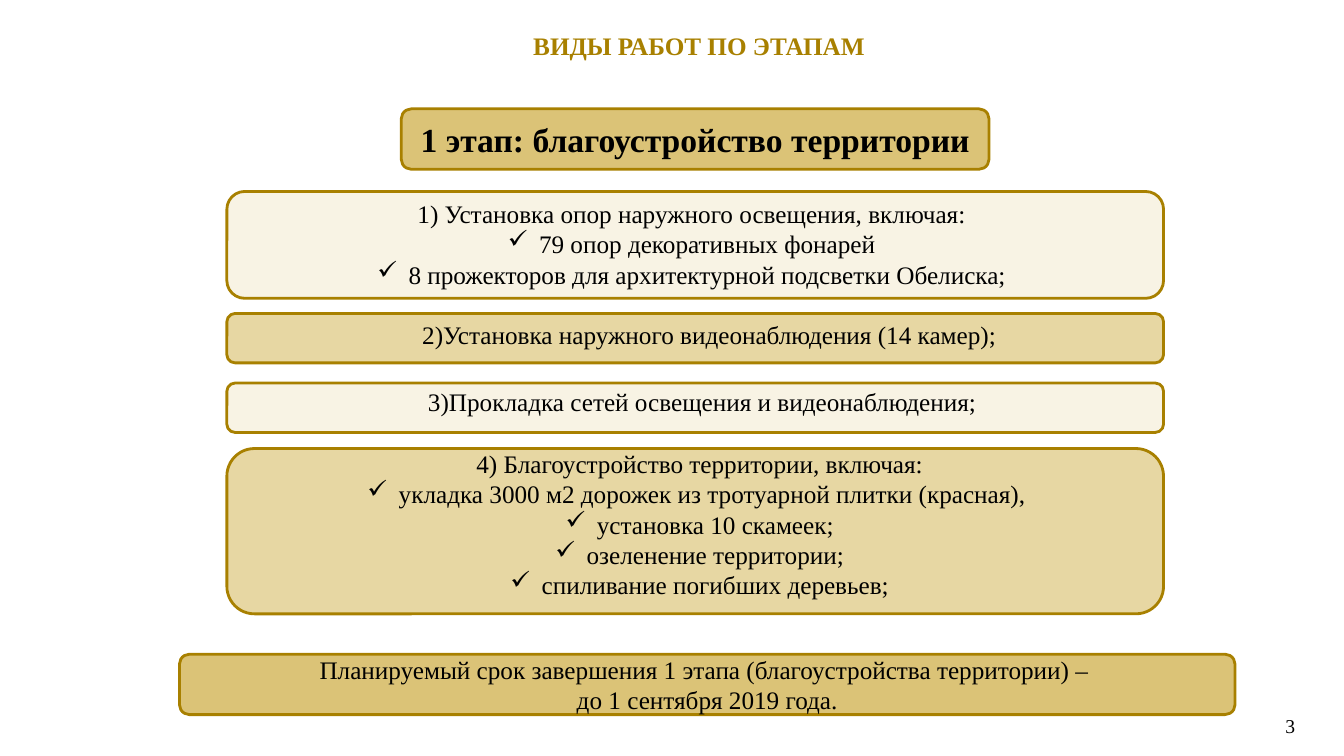
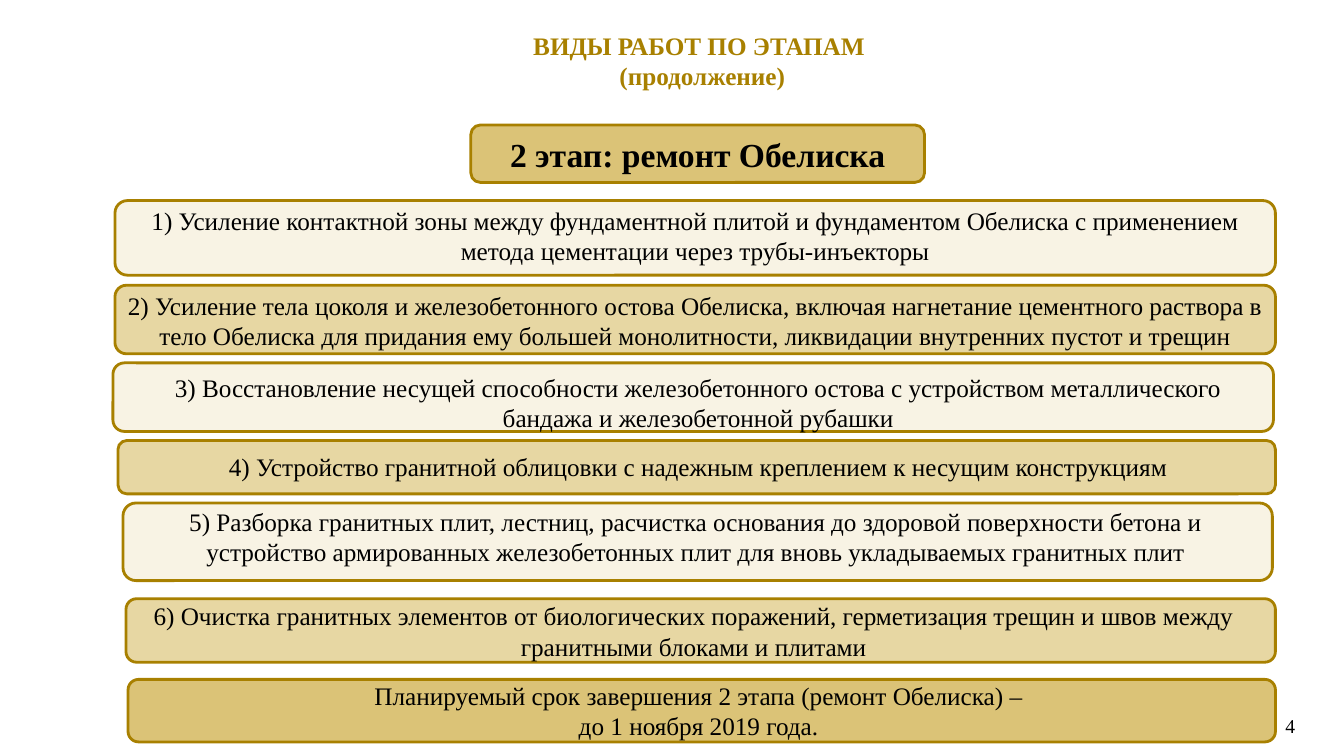
from dataclasses import dataclass

from lxml.etree import SubElement
from pptx import Presentation
from pptx.dml.color import RGBColor
from pptx.enum.shapes import MSO_SHAPE
from pptx.enum.text import MSO_ANCHOR, PP_ALIGN
from pptx.oxml.ns import qn
from pptx.slide import Slide
from pptx.text.text import TextFrame
from pptx.util import Emu, Pt

PX = 9144
FONT = "Times New Roman"
COLORS = {
    "gold": "A88000",
    "cream": "F8F3E4",
    "sand": "E7D7A3",
    "deep": "DBC377",
    "black": "000000",
}
BULLET_INDENT = 31


@dataclass(frozen=True)
class Area:
    left: int
    top: int
    width: int
    height: int

    def emu(self) -> tuple[Emu, Emu, Emu, Emu]:
        return px(self.left), px(self.top), px(self.width), px(self.height)


@dataclass(frozen=True)
class TextStyle:
    size: int = 18
    color: str = "black"
    bold: bool = False
    align: PP_ALIGN = PP_ALIGN.CENTER


@dataclass(frozen=True)
class WorkItem:
    panel: Area
    label: Area
    text: str
    points: tuple[str, ...] = ()


@dataclass(frozen=True)
class Stage:
    number: str
    title: str
    title_height: int
    heading: str
    heading_area: Area
    items: tuple[WorkItem, ...]
    deadline: str
    deadline_area: Area


BODY = TextStyle()
TITLE = TextStyle(color="gold", bold=True)
HEADING = TextStyle(size=24, bold=True)
NUMBER = TextStyle(size=14, align=PP_ALIGN.LEFT)

STAGES = (
    Stage(
        number="3",
        title="ВИДЫ РАБОТ ПО ЭТАПАМ ",
        title_height=39,
        heading="1 этап: благоустройство территории",
        heading_area=Area(398, 108, 583, 60),
        items=(
            WorkItem(
                Area(225, 190, 929, 106),
                Area(241, 192, 890, 97),
                "1) Установка опор наружного освещения, включая:",
                (
                    "79 опор декоративных фонарей",
                    "8 прожекторов для архитектурной подсветки Обелиска;",
                ),
            ),
            WorkItem(
                Area(225, 311, 929, 49),
                Area(345, 312, 717, 47),
                "2)Установка наружного видеонаблюдения (14 камер);",
            ),
            WorkItem(
                Area(225, 380, 929, 49),
                Area(338, 378, 717, 47),
                "3)Прокладка сетей освещения и видеонаблюдения;",
            ),
            WorkItem(
                Area(225, 445, 929, 164),
                Area(238, 440, 912, 168),
                "4) Благоустройство территории, включая:",
                (
                    "укладка 3000 м2 дорожек из тротуарной плитки (красная), ",
                    "установка 10 скамеек;",
                    "озеленение территории;",
                    "спиливание погибших деревьев;",
                ),
            ),
        ),
        deadline="Планируемый срок завершения 1 этапа (благоустройства территории) – \n"
        "до 1 сентября 2019 года.",
        deadline_area=Area(178, 649, 1047, 60),
    ),
    Stage(
        number="4",
        title="ВИДЫ РАБОТ ПО ЭТАПАМ \n(продолжение)",
        title_height=70,
        heading="2 этап: ремонт Обелиска",
        heading_area=Area(467, 124, 450, 57),
        items=(
            WorkItem(
                Area(114, 199, 1151, 74),
                Area(114, 199, 1151, 97),
                "1) Усиление контактной зоны между фундаментной плитой и фундаментом "
                "Обелиска с применением метода цементации через трубы-инъекторы",
            ),
            WorkItem(
                Area(114, 283, 1151, 68),
                Area(114, 283, 1151, 32),
                "2) Усиление тела цоколя и железобетонного остова Обелиска, включая "
                "нагнетание цементного раствора в тело Обелиска для придания ему "
                "большей монолитности, ликвидации внутренних пустот и трещин",
            ),
            WorkItem(
                Area(112, 360, 1151, 68),
                Area(117, 364, 1151, 65),
                "3) Восстановление несущей способности железобетонного остова с "
                "устройством металлического бандажа и железобетонной рубашки",
            ),
            WorkItem(
                Area(117, 437, 1148, 53),
                Area(117, 443, 1151, 51),
                "4) Устройство гранитной облицовки с надежным креплением к несущим "
                "конструкциям",
            ),
            WorkItem(
                Area(122, 499, 1140, 77),
                Area(120, 497, 1140, 77),
                "5) Разборка гранитных плит, лестниц, расчистка основания до здоровой "
                "поверхности бетона и устройство армированных железобетонных плит для "
                "вновь укладываемых гранитных плит",
            ),
            WorkItem(
                Area(125, 594, 1140, 63),
                Area(118, 591, 1140, 50),
                "6) Очистка гранитных элементов от биологических поражений, "
                "герметизация трещин и швов между гранитными блоками и плитами",
            ),
        ),
        deadline="Планируемый срок завершения 2 этапа (ремонт Обелиска) – \n"
        "до 1 ноября 2019 года. ",
        deadline_area=Area(127, 674, 1138, 62),
    ),
)


def px(length: int) -> Emu:
    return Emu(length * PX)


def rgb(name: str) -> RGBColor:
    return RGBColor.from_string(COLORS[name])


def write_text(
    frame: TextFrame,
    text: str,
    style: TextStyle,
    anchor: MSO_ANCHOR = MSO_ANCHOR.TOP,
) -> None:
    frame.text = text
    frame.word_wrap = True
    frame.vertical_anchor = anchor
    for para in frame.paragraphs:
        para.alignment = style.align
        for span in para.runs:
            span.font.name = FONT
            span.font.size = Pt(style.size)
            span.font.bold = style.bold
            span.font.color.rgb = rgb(style.color)


def add_panel(
    page: Slide, area: Area, fill: str, text: str = "", style: TextStyle = BODY
) -> None:
    panel = page.shapes.add_shape(MSO_SHAPE.ROUNDED_RECTANGLE, *area.emu())
    panel.shadow.inherit = False
    panel.fill.solid()
    panel.fill.fore_color.rgb = rgb(fill)
    panel.line.color.rgb = rgb("gold")
    panel.line.width = Pt(2)
    if text:
        write_text(panel.text_frame, text, style, MSO_ANCHOR.MIDDLE)


def add_label(
    page: Slide, area: Area, text: str, style: TextStyle = BODY
) -> TextFrame:
    frame = page.shapes.add_textbox(*area.emu()).text_frame
    write_text(frame, text, style)
    return frame


def add_item_text(page: Slide, item: WorkItem) -> None:
    frame = add_label(page, item.label, "\n".join((item.text, *item.points)))
    for para in frame.paragraphs[1:]:
        properties = para._p.get_or_add_pPr()
        properties.set("marL", str(px(BULLET_INDENT)))
        properties.set("indent", str(-px(BULLET_INDENT)))
        SubElement(properties, qn("a:buChar")).set("char", "✓")


def set_title(page: Slide, stage: Stage) -> None:
    title = page.shapes.title
    area = Area(274, 25, 845, stage.title_height)
    title.left, title.top, title.width, title.height = area.emu()
    write_text(title.text_frame, stage.title, TITLE)
    title.text_frame.margin_left = title.text_frame.margin_right = px(9)
    title.text_frame.margin_top = title.text_frame.margin_bottom = px(5)


def draw_stage(page: Slide, stage: Stage) -> None:
    set_title(page, stage)
    for index, item in enumerate(stage.items):
        add_panel(page, item.panel, ("cream", "sand")[index % 2])
    add_panel(page, stage.heading_area, "deep", stage.heading, HEADING)
    add_panel(page, stage.deadline_area, "deep", stage.deadline)
    for item in stage.items:
        add_item_text(page, item)
    add_label(page, Area(1265, 703, 41, 34), stage.number, NUMBER)


def main() -> None:
    deck = Presentation()
    deck.slide_width, deck.slide_height = px(1333), px(750)
    title_only = deck.slide_layouts[5]
    for stage in STAGES:
        draw_stage(deck.slides.add_slide(title_only), stage)
    deck.save("out.pptx")


if __name__ == "__main__":
    main()
